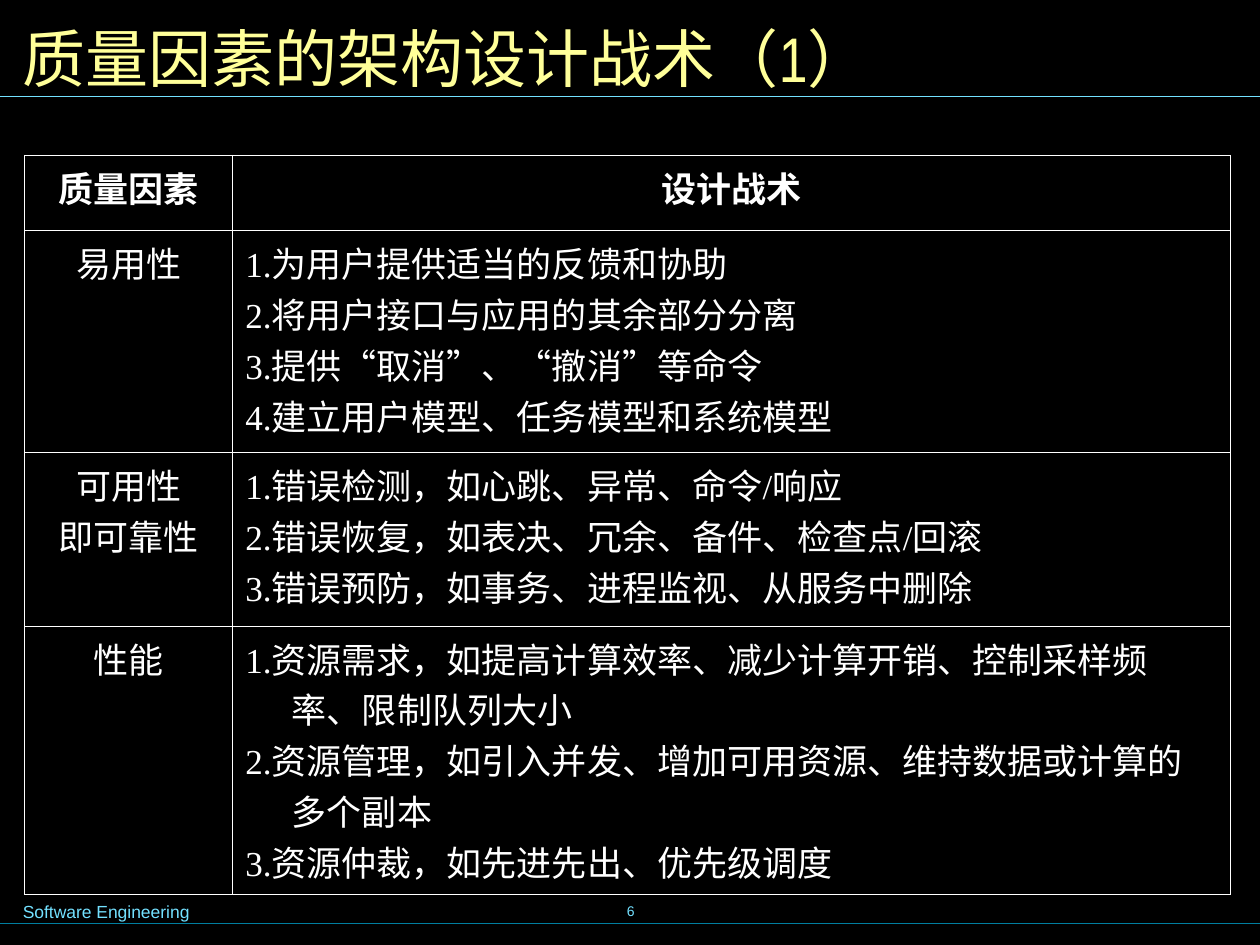
from lxml.etree import SubElement
from pptx import Presentation
from pptx.dml.color import RGBColor
from pptx.enum.lang import MSO_LANGUAGE_ID
from pptx.enum.shapes import MSO_CONNECTOR
from pptx.enum.text import MSO_ANCHOR, PP_ALIGN
from pptx.oxml.ns import qn
from pptx.util import Cm, Pt

BLACK = RGBColor(0x00, 0x00, 0x00)
WHITE = RGBColor(0xFF, 0xFF, 0xFF)
YELLOW = RGBColor(0xFF, 0xFF, 0x99)
SKY = RGBColor(0x73, 0xE1, 0xFF)
TEAL = RGBColor(0x00, 0x7E, 0x9F)

HEADINGS = ("质量因素", "设计战术")
TACTICS = [
    (["易用性"], [
        "1.为用户提供适当的反馈和协助",
        "2.将用户接口与应用的其余部分分离",
        "3.提供“取消”、“撤消”等命令",
        "4.建立用户模型、任务模型和系统模型",
    ]),
    (["可用性", "即可靠性"], [
        "1.错误检测，如心跳、异常、命令/响应",
        "2.错误恢复，如表决、冗余、备件、检查点/回滚",
        "3.错误预防，如事务、进程监视、从服务中删除",
    ]),
    (["性能"], [
        "1.资源需求，如提高计算效率、减少计算开销、控制采样频率、限制队列大小",
        "2.资源管理，如引入并发、增加可用资源、维持数据或计算的多个副本",
        "3.资源仲裁，如先进先出、优先级调度",
    ]),
]
COLUMN_WIDTHS = (4.19, 20.12)
ROW_HEIGHTS = (1.52, 4.47, 3.5, 5.4)


def write_text(frame, lines, *, font, size, color, bold=False,
               align=PP_ALIGN.LEFT, hanging=None):
    for index, line in enumerate(lines):
        paragraph = frame.paragraphs[0] if index == 0 else frame.add_paragraph()
        paragraph.alignment = align
        if hanging:
            properties = paragraph._p.get_or_add_pPr()
            properties.set("marL", str(hanging))
            properties.set("indent", str(-hanging))
            properties.set("hangingPunct", "0")
        run = paragraph.add_run()
        run.text = line
        run.font.name = font
        run.font.size = Pt(size)
        run.font.bold = bold
        run.font.color.rgb = color
        run.font.language_id = MSO_LANGUAGE_ID.SIMPLIFIED_CHINESE


def add_label(slide, text, left, top, width, height, *,
              anchor=MSO_ANCHOR.TOP, wrap=True, **text_format):
    frame = slide.shapes.add_textbox(Cm(left), Cm(top), Cm(width), Cm(height)).text_frame
    frame.word_wrap = wrap
    frame.vertical_anchor = anchor
    write_text(frame, [text], **text_format)


def add_rule(slide, y, length, color):
    rule = slide.shapes.add_connector(MSO_CONNECTOR.STRAIGHT, 0, Cm(y), Cm(length), Cm(y))
    rule.line.color.rgb = color
    rule.line.width = Pt(0.75)
    SubElement(rule._element.spPr, qn("a:effectLst"))


def set_borders(cell):
    properties = cell._tc.get_or_add_tcPr()
    for position, side in enumerate(("lnL", "lnR", "lnT", "lnB")):
        border = properties.makeelement(qn(f"a:{side}"), {"w": str(Pt(0.45))})
        fill = SubElement(border, qn("a:solidFill"))
        SubElement(fill, qn("a:srgbClr"), val=str(WHITE))
        properties.insert(position, border)


def fill_cell(cell, lines, **text_format):
    cell.fill.background()
    set_borders(cell)
    write_text(cell.text_frame, lines, font="Times New Roman", size=20,
               color=WHITE, hanging=Cm(0.94), **text_format)


def add_tactics_table(slide):
    table = slide.shapes.add_table(
        len(ROW_HEIGHTS), len(COLUMN_WIDTHS), Cm(0.5), Cm(3.13),
        Cm(sum(COLUMN_WIDTHS)), Cm(sum(ROW_HEIGHTS))).table
    table.horz_banding = False
    for column, width in zip(table.columns, COLUMN_WIDTHS):
        column.width = Cm(width)
    for row, height in zip(table.rows, ROW_HEIGHTS):
        row.height = Cm(height)
    for column, heading in enumerate(HEADINGS):
        fill_cell(table.cell(0, column), [heading], bold=True, align=PP_ALIGN.CENTER)
    for row, (factor, tactics) in enumerate(TACTICS, start=1):
        fill_cell(table.cell(row, 0), factor, align=PP_ALIGN.CENTER)
        fill_cell(table.cell(row, 1), tactics)


def main():
    presentation = Presentation()
    presentation.slide_width = Cm(25.4)
    presentation.slide_height = Cm(19.05)
    slide = presentation.slides.add_slide(presentation.slide_layouts[6])
    slide.background.fill.solid()
    slide.background.fill.fore_color.rgb = BLACK

    add_label(slide, "6", 8.69, 17.73, 8.05, 1.27, anchor=MSO_ANCHOR.MIDDLE,
              wrap=False, font="Arial", size=8, color=SKY, align=PP_ALIGN.CENTER)
    add_rule(slide, 18.62, 25.5, TEAL)
    add_rule(slide, 1.94, 25.4, SKY)
    add_label(slide, "Software Engineering", 0.21, 18.03, 7.5, 0.69,
              font="Arial", size=10, color=SKY)
    add_label(slide, "质量因素的架构设计战术（1）", 0.21, 0.21, 25, 1.9,
              anchor=MSO_ANCHOR.MIDDLE, font="Arial Narrow", size=36, color=YELLOW)
    add_tactics_table(slide)
    presentation.save("out.pptx")


if __name__ == "__main__":
    main()
